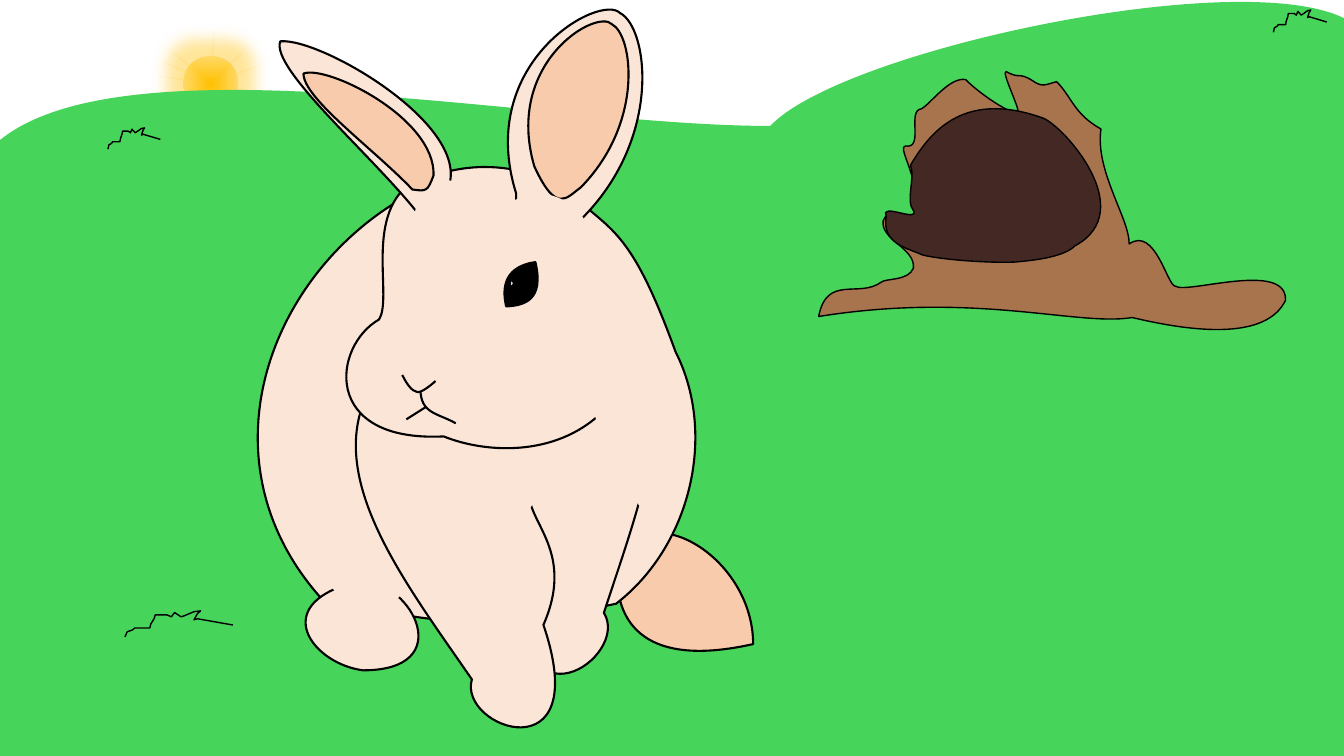
import math

import pptx
import pptx.util
import pptx.dml.color
import pptx.enum.shapes
import pptx.oxml
import pptx.oxml.ns

Inches = pptx.util.Inches
RGBColor = pptx.dml.color.RGBColor
SHAPE = pptx.enum.shapes.MSO_SHAPE
qn = pptx.oxml.ns.qn
SPACE = 'xmlns:a="http://schemas.openxmlformats.org/drawingml/2006/main"'

GRASS = RGBColor(0x47, 0xD4, 0x5A)
WOOD = RGBColor(0xA7, 0x74, 0x4E)
HOLLOW = RGBColor(0x44, 0x28, 0x24)
FUR = RGBColor(0xFB, 0xE5, 0xD6)
PINK = RGBColor(0xF8, 0xCB, 0xAD)
GOLD = RGBColor(0xFF, 0xC0, 0x00)
PALE = RGBColor(0xFF, 0xD9, 0x66)
RAY = RGBColor(0xFF, 0xF2, 0xCC)
BLACK = RGBColor(0, 0, 0)
WHITE = RGBColor(0xFF, 0xFF, 0xFF)

THIN, BOLD = 1, 1.5
UNIT = (0, 0, 1, 1)
TURNS = (109.1, 154.7, 196.4, 237.4, 278.2, 309.7, 3.5, 45.3, 69.5, 294.6, 245.5, 236.2)

BLADES = [(1, 0.56), (0.67, 0.33), (0.64, 0.37), (0.67, 0.15), (0.7, 0.04), (0.64, 0.07),
          (0.55, 0.22), (0.52, 0.26), (0.46, 0.1), (0.43, 0.26), (0.39, 0.19), (0.28, 0.19),
          (0.27, 0.33), (0.24, 0.52), (0.23, 0.67), (0.09, 0.67), (0.07, 0.74), (0.02, 0.81), (0, 1)]
PAW = [(0.33, 0.06), (0.5, 0), (0.95, 0.02, 1.35, 1, 0.51, 1), (0.08, 0.93, -0.29, 0.33, 0.33, 0.06)]


class Scene:
    """Each outline is a start point, then lines (x, y) and curves (two handles, end)."""

    def __init__(self, slide):
        self.slide = slide
        self.shapes = slide.shapes

    def group(self):
        self.shapes = self.slide.shapes.add_group_shape().shapes

    def ungroup(self):
        self.shapes = self.slide.shapes

    def paint(self, shape, fill, line):
        shape.shadow.inherit = False
        if fill is None:
            shape.fill.background()
        else:
            shape.fill.solid()
            shape.fill.fore_color.rgb = fill
        if line:
            shape.line.color.rgb = BLACK
            shape.line.width = pptx.util.Pt(line)
        else:
            shape.line.fill.background()

    def trace(self, parts, steps=40):
        track = list(parts[0])
        for part in parts[1:]:
            knots = [track[-1], *part]
            if len(part) == 1:
                track += part
                continue
            for step in range(1, steps + 1):
                t = step / steps
                mix = [math.comb(3, i) * t**i * (1 - t)**(3 - i) for i in range(4)]
                track.append(tuple(sum(m * knot[axis] for m, knot in zip(mix, knots))
                                   for axis in (0, 1)))
        return track

    def unturn(self, parts, turn):
        def spin(spot, angle):
            c, s = math.cos(math.radians(angle)), math.sin(math.radians(angle))
            return spot[0] * c - spot[1] * s, spot[0] * s + spot[1] * c

        flat = [[spin(spot, -turn) for spot in part] for part in parts]
        mid = [(min(line) + max(line)) / 2 for line in zip(*self.trace(flat))]
        home = spin(mid, turn)
        return [[(x + home[0] - mid[0], y + home[1] - mid[1]) for x, y in part] for part in flat]

    def outline(self, path, fill=None, line=None, turn=0, box=UNIT):
        left, top, wide, high = box
        parts = [[(left + x * wide, top + y * high) for x, y in zip(nums[::2], nums[1::2])]
                 for nums in path]
        shut = path[0] == path[-1][-2:]
        parts = self.unturn(parts, turn)
        track = [(Inches(x), Inches(y)) for x, y in self.trace(parts)]
        draft = self.shapes.build_freeform(*track[0], scale=1.0)
        draft.add_line_segments(track[1:], close=shut)
        shape = draft.convert_to_shape()
        self.bend(shape, parts, shut)
        shape.rotation = turn
        self.paint(shape, fill, line)

    def bend(self, shape, parts, shut):
        route = shape.element.spPr.find(".//" + qn("a:path"))
        for node in list(route):
            route.remove(node)
        for index, part in enumerate(parts):
            tag = "moveTo" if index == 0 else "lnTo" if len(part) == 1 else "cubicBezTo"
            spots = "".join(f'<a:pt x="{Inches(x) - shape.left}" y="{Inches(y) - shape.top}"/>'
                            for x, y in part)
            route.append(pptx.oxml.parse_xml(f"<a:{tag} {SPACE}>{spots}</a:{tag}>"))
        if shut:
            route.append(pptx.oxml.parse_xml(f"<a:close {SPACE}/>"))

    def preset(self, kind, mid, wide, high, fill):
        shape = self.shapes.add_shape(kind, Inches(mid[0] - wide / 2), Inches(mid[1] - high / 2),
                                      Inches(wide), Inches(high))
        self.paint(shape, fill, None)
        return shape

    def ray(self, hub, reach, turn):
        angle = math.radians(turn)
        mid = hub[0] + reach * math.sin(angle), hub[1] - reach * math.cos(angle)
        shape = self.preset(SHAPE.ISOSCELES_TRIANGLE, mid, 0.05, 0.5, RAY)
        shape.rotation = turn
        color = shape.element.spPr.find(".//" + qn("a:srgbClr"))
        color.append(pptx.oxml.parse_xml(f'<a:alpha {SPACE} val="47000"/>'))

    def disc(self, hub, size, glow):
        shape = self.preset(SHAPE.OVAL, hub, size, size, GOLD)
        shape.fill.gradient()
        for stop, color, spot in zip(shape.fill.gradient_stops, (GOLD, PALE), (0, 0.99)):
            stop.color.rgb = color
            stop.position = spot
        frame = shape.element.spPr
        lin = frame.find(".//" + qn("a:lin"))
        lin.getparent().replace(lin, pptx.oxml.parse_xml(
            f'<a:path {SPACE} path="shape"><a:fillToRect l="50000" t="50000" r="50000" b="50000"/></a:path>'))
        frame.find(qn("a:effectLst")).append(pptx.oxml.parse_xml(
            f'<a:glow {SPACE} rad="{Inches(glow)}"><a:srgbClr val="{GOLD}"><a:alpha val="40000"/></a:srgbClr></a:glow>'))

    def sun(self, hub):
        self.group()
        for turn in TURNS:
            self.ray(hub, 0.28, turn)
        self.disc(hub, 0.55, 0.32)
        self.ungroup()

    def hill(self):
        self.outline([(0, 1.39), (1.27, 0.36, 5.4, 1.25, 7.64, 1.25), (8.36, 0.48, 12.55, -0.4, 13.43, 0.24),
                      (13.46, 7.5), (0, 7.5), (0, 1.39)], GRASS)

    def tuft(self, *box):
        self.outline(BLADES, GRASS, THIN, box=box)

    def paw(self, *box, line=None):
        self.outline(PAW, FUR, line, box=box)

    def stump(self):
        self.group()
        top = [(9.01, 1.45), (9.15, 1.44, 9, 1.09, 9.14, 1.08), (9.24, 1.02, 9.42, 0.76, 9.58, 0.79),
               (9.64, 0.86, 9.92, 1.08, 10.09, 1.13), (10.15, 1.14, 9.92, 0.7, 9.98, 0.71),
               (10.12, 0.79, 10.1, 0.71, 10.24, 0.8), (10.34, 0.87, 10.37, 0.84, 10.48, 0.81)]
        right = [(10.63, 0.96, 10.65, 1.13, 10.92, 1.28), (10.86, 1.7, 11.2, 2.16, 11.2, 2.42),
                 (11.46, 2.24, 11.58, 2.85, 11.66, 2.84)]
        roots = [(11.77, 2.92, 12.77, 2.58, 12.75, 2.98), (12.56, 3.37, 11.86, 3.3, 11.23, 3.15),
                 (10.69, 3.24, 9.68, 2.89, 8.12, 3.14), (8.2, 2.72, 8.52, 2.96, 8.74, 2.8)]
        left = [(8.78, 2.76, 9.01, 2.79, 9.06, 2.66), (9.08, 2.46, 8.73, 2.38, 8.76, 2.19),
                (8.82, 2.06, 8.88, 2.13, 9.08, 2.15), (9.14, 1.73, 8.85, 1.42, 9.01, 1.45)]
        self.outline(top + right + roots + left, WOOD, THIN)
        arch = [(9.03, 1.64), (9.24, 1.28, 9.58, 0.9, 10.34, 1.17), (10.54, 1.24, 11.31, 2.09, 10.66, 2.44)]
        floor = [(10.56, 2.54, 10.31, 2.58, 10.06, 2.6), (9.82, 2.61, 9.36, 2.58, 9.15, 2.53)]
        lip = [(9, 2.46, 8.74, 2.42, 8.79, 2.14), (8.73, 2.01, 9.12, 2.21, 9.06, 2.09),
               (8.98, 2, 9.08, 1.75, 9.03, 1.64)]
        self.outline(arch + floor + lip, HOLLOW, THIN)
        self.ungroup()

    def rabbit(self):
        self.group()
        self.trunk()
        self.face()
        self.ears()
        self.ungroup()

    def trunk(self):
        tail = [(7.47, 6.39), (6.14, 6.69, 6.07, 5.91, 6.14, 5.52), (6.47, 4.93, 7.47, 5.55, 7.47, 6.39)]
        body = [(3.94, 2), (5.69, 1.95), (6.08, 2.3, 6.27, 2.31, 6.7, 3.49), (7.12, 4.32, 6.84, 5.43, 6.11, 5.99),
                (4.55, 6.32, 4.07, 6.11, 3.18, 5.93), (2, 4.6, 2.63, 2.8, 3.94, 2)]
        far = [(6.07, 2.96), (5.29, 3.49), (4.9, 4.39), (5.09, 4.68, 4.61, 5.11, 5.16, 5.76),
               (5.08, 7.34, 6.26, 6.51, 5.99, 6.08), (6.36, 4.94, 6.89, 3.64, 6.07, 2.96)]
        near = [(3.73, 3.76), (4.63, 4.06), (5.26, 4.82), (5.16, 5.15, 5.73, 5.42, 5.39, 6.2),
                (5.9, 7.7, 4.54, 7.23, 4.68, 6.74), (4, 5.75, 3.13, 4.65, 3.73, 3.76)]
        for path, fill, turn in ((tail, PINK, 303.3), (body, FUR, 0), (far, FUR, 343.8), (near, FUR, 0)):
            self.outline(path, fill, BOLD, turn)
        self.paw(3.03, 5.76, 1.12, 0.89, line=BOLD)
        self.paw(3.29, 5.59, 0.69, 0.43)
        self.paw(4.64, 4.36, 0.69, 0.77)

    def face(self):
        head = [(4.01, 1.87), (4.67, 1.51, 5.34, 1.64, 5.79, 2.01), (6.02, 4.04), (5.57, 4.53, 4.85, 4.51, 4.4, 4.33),
                (3.18, 4.39, 3.3, 3.43, 3.76, 3.17), (3.89, 2.96, 3.64, 2.23, 4.01, 1.87)]
        lip = [(4.17, 3.86), (4.17, 4.11, 4.35, 4.1, 4.52, 4.2)]
        mouth = [(4.22, 4.04), (4.03, 4.16)]
        nose = [(3.99, 3.72), (4.03, 3.8, 4.08, 3.88, 4.14, 3.89), (4.19, 3.9, 4.32, 3.78, 4.32, 3.78)]
        eye = [(5.31, 2.6), (5.4, 2.98, 5.2, 3.03, 5.02, 3.04), (4.99, 2.91, 4.96, 2.65, 5.31, 2.6)]
        glint = [(5.06, 2.85), (5.06, 2.84, 5.06, 2.79, 5.06, 2.78), (5.07, 2.77, 5.1, 2.79, 5.1, 2.81),
                 (5.1, 2.83, 5.07, 2.85, 5.06, 2.85)]
        for path, fill, turn in ((head, FUR, 0), (lip, None, 0), (mouth, None, 0), (nose, FUR, 0),
                                 (eye, BLACK, 206.5), (glint, WHITE, 0)):
            self.outline(path, fill, BOLD, turn)

    def ears(self):
        left = [(2.78, 0.41), (3.18, 0.37, 4.71, 1.26, 4.44, 1.88), (4.54, 2.22), (4.14, 2.11),
                (3.69, 1.54, 2.68, 0.68, 2.78, 0.41)]
        inner = [(3.01, 0.73), (3.24, 0.64, 4.32, 1.17, 4.3, 1.74), (4.24, 1.9, 4.23, 1.9, 4.09, 1.88),
                 (3.7, 1.47, 3.01, 0.98, 3.01, 0.73)]
        cheek = [(5.78, 2.03), (7.24, 4.65, 6.6, 4.68, 6.47, 5.12), (6.09, 5, 5.22, 2.55, 5.78, 2.03)]
        right = [(5.12, 1.92), (4.71, 0.61, 5.96, -0.07, 6.15, 0.13), (6.43, 0.27, 6.58, 1.38, 5.75, 2.19),
                 (5.12, 2.22), (5.12, 1.92)]
        core = [(5.3, 1.65), (5, 0.62, 5.92, 0.08, 6.07, 0.24), (6.28, 0.35, 6.39, 1.22, 5.76, 1.86),
                (5.62, 1.96, 5.52, 2.13, 5.3, 1.65)]
        for path, fill, line, turn in ((left, FUR, BOLD, 0), (inner, PINK, BOLD, 345.5), (cheek, FUR, None, 0),
                                       (right, FUR, BOLD, 0), (core, PINK, BOLD, 0)):
            self.outline(path, fill, line, turn)
        self.paw(4.11, 1.79, 0.69, 0.8)
        self.paw(4.87, 1.92, 0.96, 0.62)


def main():
    deck = pptx.Presentation()
    deck.slide_width, deck.slide_height = Inches(13.33), Inches(7.5)
    scene = Scene(deck.slides.add_slide(deck.slide_layouts[6]))
    scene.sun((2.09, 0.83))
    scene.hill()
    scene.tuft(1.07, 1.26, 0.52, 0.22)
    scene.tuft(12.63, 0.09, 0.53, 0.23)
    scene.stump()
    scene.tuft(1.24, 6.05, 1.07, 0.27)
    scene.rabbit()
    deck.save("out.pptx")


if __name__ == "__main__":
    main()
